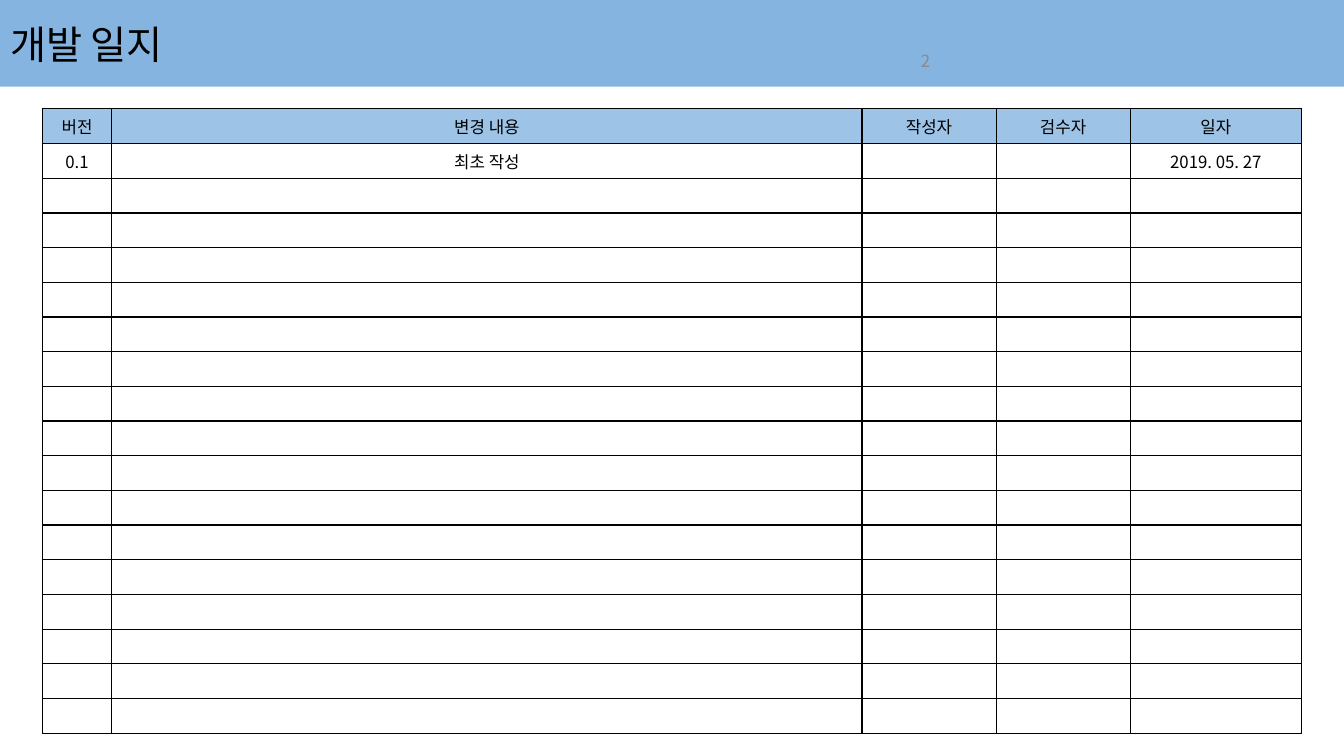
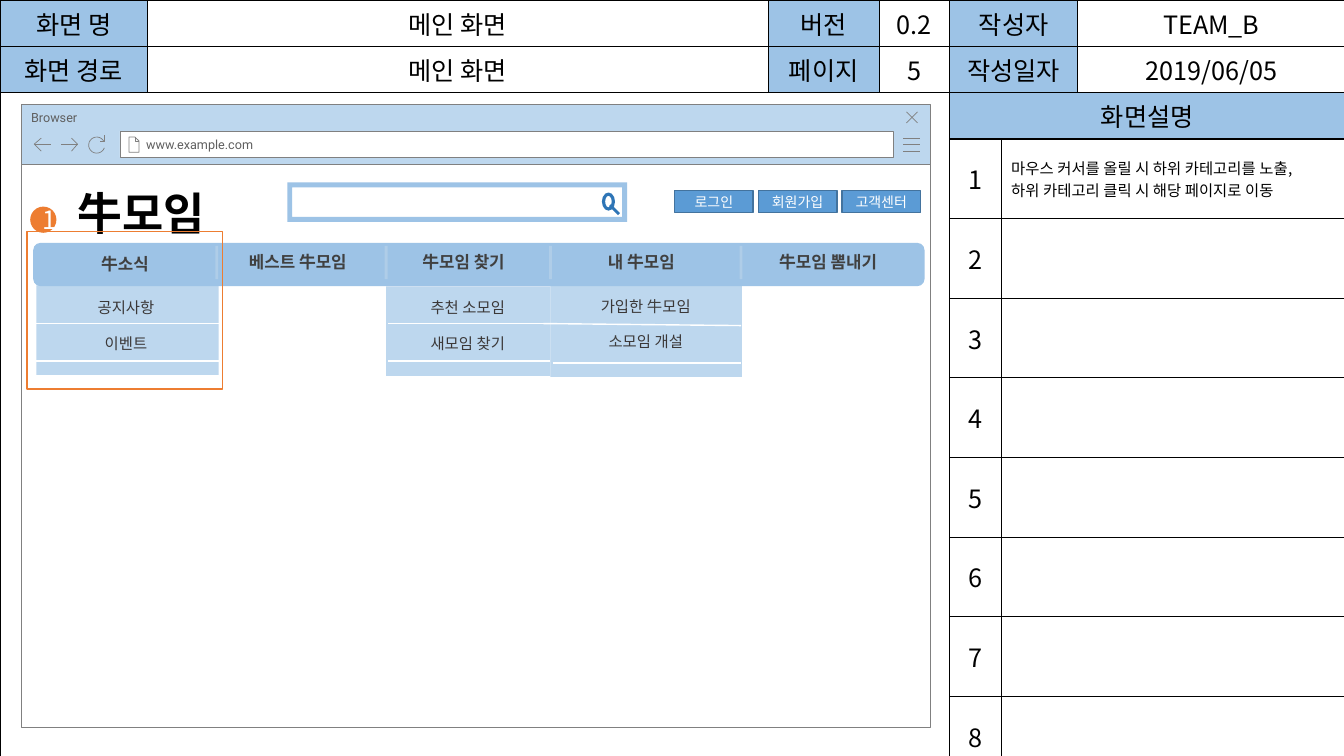
"""Build a development log slide and a main screen wireframe slide."""
from dataclasses import dataclass
from math import cos, radians, sin
from typing import Optional, Sequence, Union

from lxml.etree import SubElement
from pptx import Presentation
from pptx.dml.color import RGBColor
from pptx.enum.shapes import MSO_CONNECTOR, MSO_SHAPE as Geo
from pptx.enum.text import MSO_ANCHOR as Anchor, PP_ALIGN as Align
from pptx.oxml.ns import qn
from pptx.util import Inches, Pt

BLACK = RGBColor(0x00, 0x00, 0x00)
WHITE = RGBColor(0xFF, 0xFF, 0xFF)
BLUE = RGBColor(0x5B, 0x9B, 0xD5)
DEEP_BLUE = RGBColor(0x2E, 0x75, 0xB6)
BUTTON_EDGE = RGBColor(0x43, 0x73, 0x9E)
HEADER_BLUE = RGBColor(0x9D, 0xC3, 0xE6)
PALE_BLUE = RGBColor(0xBD, 0xD7, 0xEE)
ORANGE = RGBColor(0xED, 0x7D, 0x31)
OUTLINE = RGBColor(0x80, 0x80, 0x80)
NUMBER_GRAY = RGBColor(0x8B, 0x8B, 0x8B)
BROWSER_TEXT = RGBColor(0x5F, 0x5F, 0x5F)
MENU_TEXT = RGBColor(0x3B, 0x38, 0x38)
NAV_TEXT = RGBColor(0x40, 0x40, 0x40)
DIVIDER = RGBColor(0xF2, 0xF2, 0xF2)
KOREAN = "Noto Sans CJK KR"

Box = tuple[float, float, float, float]
Point = tuple[float, float]
Line = Union[str, tuple[tuple[str, RGBColor], ...]]


@dataclass(frozen=True)
class Style:
    """Describe the look of a block of text."""
    size: float
    color: RGBColor = BLACK
    bold: bool = False
    align: Align = Align.CENTER
    anchor: Anchor = Anchor.MIDDLE
    face: str = KOREAN


@dataclass(frozen=True)
class Menu:
    """Describe one drop-down panel with its entries and rules."""
    panel: Box
    label_left: float
    label_width: float
    entries: tuple[tuple[float, Line], ...]
    rules: tuple[tuple[Point, Point], ...]


@dataclass(frozen=True)
class NavLabel:
    """Describe one heading in the navigation bar."""
    text: str
    box: Box
    align: Align = Align.LEFT


HEADING = Style(28, align=Align.LEFT)
LOGO = Style(32, bold=True, align=Align.LEFT, anchor=Anchor.TOP)
LOG_CELL = Style(12)
FORM_CELL = Style(18)
NOTE_CELL = Style(11, align=Align.LEFT)
BUTTON = Style(10, WHITE)
MENU_ENTRY = Style(11, MENU_TEXT, anchor=Anchor.TOP)
ADDRESS = Style(9, BROWSER_TEXT, align=Align.LEFT, face="Roboto")
BROWSER_NAME = Style(9, BROWSER_TEXT, align=Align.LEFT, anchor=Anchor.TOP, face="Roboto")

LOG_COLUMNS = (0.69, 7.44, 1.33, 1.33, 1.7)
LOG_ROWS = 18
LOG_TEXT = (
    ("버전", "변경 내용", "작성자", "검수자", "일자"),
    ("0.1", "최초 작성", "", "", "2019. 05. 27"),
)
FORM_COLUMNS = (1.46, 6.16, 1.1, 0.7, 0.51, 0.76, 2.65)
FORM_TEXT = (
    ("화면 명", "메인 화면", "버전", "0.2", "작성자", "", "TEAM_B"),
    ("화면 경로", "메인 화면", "페이지", "5", "작성일자", "", "2019/06/05"),
    ("", "", "", "", "화면설명", "", ""),
)
NOTES = (("마우스 커서를 올릴 시 하위 카테고리를 노출,", "하위 카테고리 클릭 시 해당 페이지로 이동"),)
NOTE_COUNT = 8
MENUS = (
    Menu((0.36, 2.83, 1.81, 0.89), 0.47, 1.56, ((2.91, "공지사항"), (3.27, "이벤트")),
         (((0.33, 3.21), (2.17, 3.21)), ((0.34, 3.58), (2.17, 3.58)))),
    Menu((3.83, 2.84, 1.63, 0.89), 3.83, 1.62, ((2.91, "추천 소모임"), (3.27, "새모임 찾기")),
         (((3.85, 3.21), (5.45, 3.21)), ((3.85, 3.58), (5.45, 3.58)))),
    Menu((5.46, 2.77, 1.9, 0.97), 5.46, 1.89,
         ((2.9, (("가입한 ", MENU_TEXT), ("牛", NAV_TEXT), ("모임", MENU_TEXT))),
          (3.25, (("소", NAV_TEXT), ("모임 개설", MENU_TEXT)))),
         (((5.39, 3.21), (7.35, 3.23)), ((5.48, 3.6), (7.35, 3.6)))),
)
NAV_LABELS = (
    NavLabel("牛소식", (0.33, 2.47, 1.82, 0.3), Align.CENTER),
    NavLabel("베스트 牛모임", (2.37, 2.45, 1.28, 0.3)),
    NavLabel("牛모임 찾기", (4.09, 2.45, 1.12, 0.3)),
    NavLabel("내 牛모임", (5.93, 2.45, 1.28, 0.3)),
    NavLabel("牛모임 뽐내기", (7.63, 2.45, 1.28, 0.3)),
)
NAV_DIVIDERS = (2.15, 3.83, 5.46, 7.35)
RELOAD_ARC = tuple((0.96 + 0.08 * cos(radians(a)), 1.44 + 0.08 * sin(radians(a)))
                   for a in range(20, 336, 15))
ICONS = (
    tuple(((8.96, y), (9.13, y)) for y in (1.37, 1.43, 1.5)),
    (((9.1, 1.11), (8.99, 1.22)), ((8.99, 1.11), (9.1, 1.22))),
    (((1.34, 1.36), (1.34, 1.4), (1.38, 1.4)),
     ((1.28, 1.36), (1.28, 1.51), (1.38, 1.51), (1.38, 1.4), (1.34, 1.36), (1.28, 1.36))),
    (((0.41, 1.5), (0.34, 1.43), (0.41, 1.37)), ((0.35, 1.43), (0.51, 1.43))),
    (((0.71, 1.37), (0.77, 1.43), (0.71, 1.5)), ((0.77, 1.43), (0.61, 1.43))),
    (((1.04, 1.34), (1.04, 1.4), (0.99, 1.4)), RELOAD_ARC),
)


def inches(values: Sequence[float]) -> list[Inches]:
    """Turn numbers into lengths."""
    return [Inches(value) for value in values]


def set_alpha(fill_parent, percent: int) -> None:
    """Make the solid colour under an element translucent."""
    color = next(fill_parent.iter(qn("a:srgbClr")))
    SubElement(color, qn("a:alpha"), val=str(percent * 1000))


def write(frame, lines: Sequence[Line], style: Style) -> None:
    """Fill a text frame with one paragraph per line."""
    for index, line in enumerate(lines):
        paragraph = frame.paragraphs[0] if index == 0 else frame.add_paragraph()
        paragraph.alignment = style.align
        font = paragraph.font
        font.size, font.bold, font.name = Pt(style.size), style.bold, style.face
        font.color.rgb = style.color
        SubElement(font._element, qn("a:ea"), typeface=style.face)
        if isinstance(line, str):
            paragraph.add_run().text = line
            continue
        for text, color in line:
            run = paragraph.add_run()
            run.text = text
            run.font.color.rgb = color


def write_block(shape, text: Line, style: Style) -> None:
    """Put a wrapped, anchored line of text in a shape."""
    frame = shape.text_frame
    frame.word_wrap = True
    frame.vertical_anchor = style.anchor
    write(frame, (text,), style)


def add_label(slide, box: Box, text: Line, style: Style) -> None:
    """Add a text box."""
    write_block(slide.shapes.add_textbox(*inches(box)), text, style)


def paint(shape, fill: Optional[RGBColor], edge: Optional[RGBColor], width: float) -> None:
    """Set fill and outline and drop the shadow."""
    shape.shadow.inherit = False
    if fill is None:
        shape.fill.background()
    else:
        shape.fill.solid()
        shape.fill.fore_color.rgb = fill
    if edge is None:
        shape.line.fill.background()
    else:
        shape.line.color.rgb = edge
        shape.line.width = Pt(width)


def add_figure(slide, box: Box, fill: Optional[RGBColor], edge: Optional[RGBColor] = None,
               width: float = 1, geometry: Geo = Geo.RECTANGLE,
               adjust: Optional[float] = None):
    """Add a preset shape."""
    figure = slide.shapes.add_shape(geometry, *inches(box))
    paint(figure, fill, edge, width)
    if adjust is not None:
        figure.adjustments[0] = adjust
    return figure


def add_rule(slide, start: Point, end: Point, color: RGBColor, width: float,
             alpha: int = 100) -> None:
    """Add a straight line."""
    rule = slide.shapes.add_connector(MSO_CONNECTOR.STRAIGHT, *inches(start + end))
    rule.line.color.rgb = color
    rule.line.width = Pt(width)
    if alpha < 100:
        set_alpha(rule.line._get_or_add_ln(), alpha)
    SubElement(rule._element.spPr, qn("a:effectLst"))


def add_icon(slide, strokes: Sequence[Sequence[Point]]) -> None:
    """Add a line icon made of open strokes."""
    builder = slide.shapes.build_freeform(*inches(strokes[0][0]))
    for index, stroke in enumerate(strokes):
        if index:
            builder.move_to(*inches(stroke[0]))
        builder.add_line_segments([tuple(inches(point)) for point in stroke[1:]], close=False)
    paint(builder.convert_to_shape(), None, OUTLINE, 0.5)


def place_title(slide, box: Box, text: str, style: Style):
    """Move the title placeholder to the front and fill it."""
    title = slide.shapes.title
    title.left, title.top, title.width, title.height = inches(box)
    write_block(title, text, style)
    slide.shapes._spTree.append(title._element)
    return title


def add_grid(slide, left: float, top: float, columns: Sequence[float], rows: Sequence[float]):
    """Add a plain table with black borders."""
    grid = slide.shapes.add_table(
        len(rows), len(columns), *inches((left, top, sum(columns), sum(rows)))).table
    grid.first_row = grid.horz_banding = False
    for column, width in zip(grid.columns, columns):
        column.width = Inches(width)
    for row, height in zip(grid.rows, rows):
        row.height = Inches(height)
    for cell in grid.iter_cells():
        cell.margin_top = cell.margin_bottom = 0
        cell.vertical_anchor = Anchor.MIDDLE
        for side in ("a:lnL", "a:lnR", "a:lnT", "a:lnB"):
            border = SubElement(cell._tc.tcPr, qn(side), w=str(Pt(1)))
            SubElement(SubElement(border, qn("a:solidFill")), qn("a:srgbClr"), val=str(BLACK))
        cell.fill.background()
    return grid


def fill_cell(cell, lines: Sequence[str], style: Style, header: bool = False) -> None:
    """Write a cell and shade it when it is a header."""
    write(cell.text_frame, lines, style)
    if header:
        cell.fill.solid()
        cell.fill.fore_color.rgb = HEADER_BLUE


def build_log(slide) -> None:
    """Draw the development log."""
    log = add_grid(slide, 0.42, 1.08, LOG_COLUMNS, [6.2 / LOG_ROWS] * LOG_ROWS)
    for row, texts in enumerate(LOG_TEXT):
        for column, text in enumerate(texts):
            if text:
                fill_cell(log.cell(row, column), (text,), LOG_CELL, row == 0)
    band = place_title(slide, (0, 0, 13.33, 0.86), "개발 일지", HEADING)
    band.fill.solid()
    band.fill.fore_color.rgb = BLUE
    set_alpha(band._element.spPr, 75)
    add_label(slide, (8.68, 0.45, 1, 0.3), "2", Style(12, NUMBER_GRAY))


def build_browser(slide) -> None:
    """Draw the browser window."""
    add_figure(slide, (0.21, 1.62, 9.02, 5.6), WHITE, OUTLINE, 0.5)
    bar = add_figure(slide, (0.21, 1.04, 9.02, 0.59), PALE_BLUE, OUTLINE, 0.5)
    write_block(bar, "Browser", BROWSER_NAME)
    address = add_figure(slide, (1.19, 1.3, 7.67, 0.26), WHITE, OUTLINE, 0.5)
    address.text_frame.margin_left = Inches(0.26)
    write_block(address, "www.example.com", ADDRESS)
    for strokes in ICONS:
        add_icon(slide, strokes)


def build_form(slide) -> None:
    """Draw the screen specification table."""
    form = add_grid(slide, 0, 0, FORM_COLUMNS, [0.46] * 3 + [0.79] * NOTE_COUNT)
    for row in (0, 1):
        form.cell(row, 4).merge(form.cell(row, 5))
    form.cell(2, 0).merge(form.cell(NOTE_COUNT + 2, 3))
    form.cell(2, 4).merge(form.cell(2, 6))
    for row, texts in enumerate(FORM_TEXT):
        for column, text in enumerate(texts):
            if text:
                fill_cell(form.cell(row, column), (text,), FORM_CELL, column in (0, 2, 4))
    for number in range(1, NOTE_COUNT + 1):
        fill_cell(form.cell(number + 2, 4), (str(number),), FORM_CELL)
        form.cell(number + 2, 5).merge(form.cell(number + 2, 6))
    for row, lines in enumerate(NOTES, 3):
        fill_cell(form.cell(row, 5), lines, NOTE_CELL)


def build_site(slide) -> None:
    """Draw the site header, navigation bar and drop-down menus."""
    for index, text in enumerate(("로그인", "회원가입", "고객센터")):
        button = add_figure(slide, (6.69 + 0.83 * index, 1.89, 0.78, 0.22), BLUE, BUTTON_EDGE)
        write_block(button, text, BUTTON)
    add_figure(slide, (2.85, 1.81, 3.37, 0.39), HEADER_BLUE, geometry=Geo.FRAME, adjust=0.125)
    handle = add_figure(slide, (6.01, 2.02, 0.17, 0.12), DEEP_BLUE,
                        geometry=Geo.MATH_MINUS, adjust=0.235)
    handle.rotation = 45
    add_figure(slide, (5.97, 1.91, 0.13, 0.18), DEEP_BLUE, geometry=Geo.DONUT, adjust=0.25)
    place_title(slide, (0.67, 1.79, 1.56, 0.64), "牛모임", LOGO)
    marker = add_figure(slide, (0.3, 2.05, 0.26, 0.26), ORANGE, geometry=Geo.OVAL)
    write_block(marker, "1", Style(18, WHITE))
    for menu in MENUS:
        add_figure(slide, menu.panel, PALE_BLUE)
        for top, entry in menu.entries:
            add_label(slide, (menu.label_left, top, menu.label_width, 0.29), entry, MENU_ENTRY)
        for start, end in menu.rules:
            add_rule(slide, start, end, WHITE, 1)
    add_figure(slide, (0.33, 2.41, 8.84, 0.43), HEADER_BLUE, geometry=Geo.ROUNDED_RECTANGLE)
    for label in NAV_LABELS:
        add_label(slide, label.box, label.text,
                  Style(12, NAV_TEXT, True, label.align, Anchor.TOP))
    for x in NAV_DIVIDERS:
        add_rule(slide, (x, 2.44), (x, 2.77), DIVIDER, 2, 22)
    add_figure(slide, (0.27, 2.3, 1.94, 1.56), None, ORANGE)


def main() -> None:
    """Build and save the presentation."""
    deck = Presentation()
    deck.slide_width, deck.slide_height = inches((13.33, 7.5))
    title_only = deck.slide_layouts[5]
    build_log(deck.slides.add_slide(title_only))
    screen = deck.slides.add_slide(title_only)
    for build in (build_browser, build_form, build_site):
        build(screen)
    deck.save("out.pptx")


if __name__ == "__main__":
    main()
